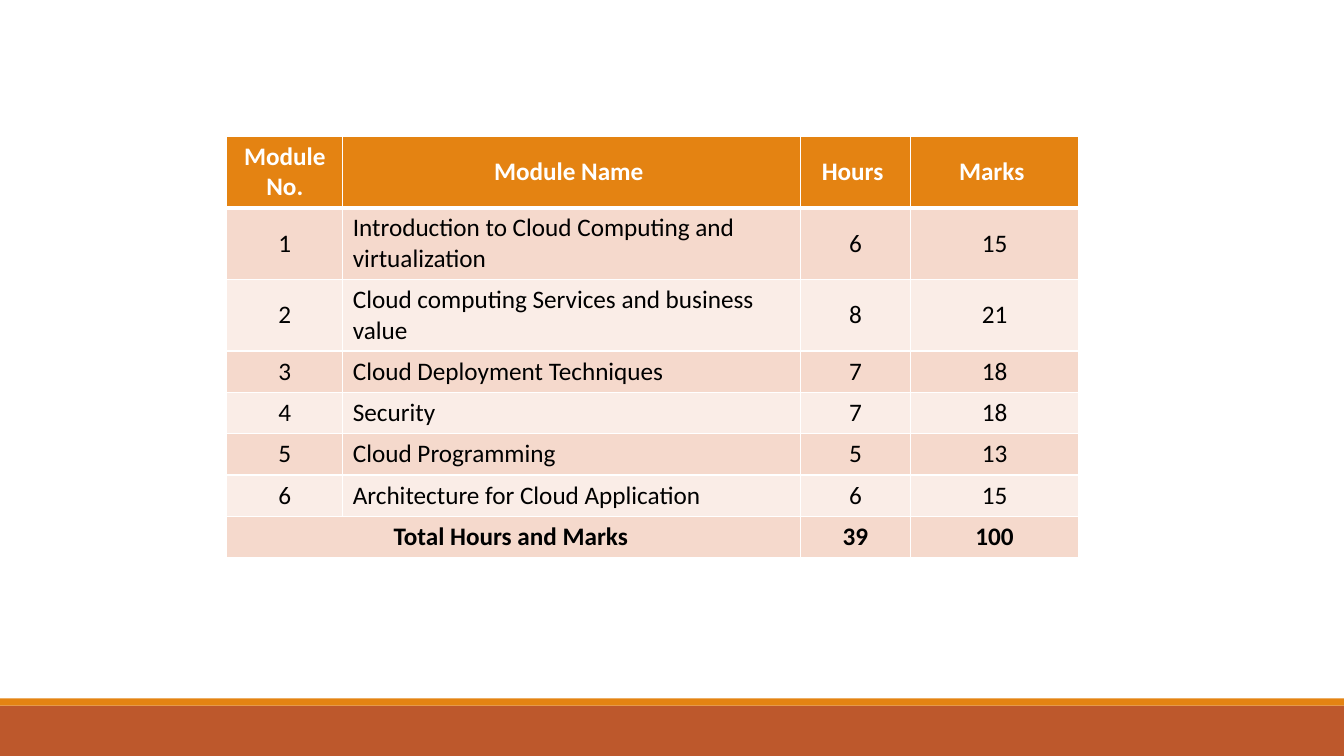
from dataclasses import dataclass

from lxml.etree import SubElement
from pptx import Presentation
from pptx.dml.color import RGBColor
from pptx.enum.shapes import MSO_SHAPE as Shape
from pptx.enum.text import MSO_ANCHOR as Anchor, PP_ALIGN as Align
from pptx.oxml.ns import qn
from pptx.slide import Slide
from pptx.table import _Cell as Cell
from pptx.util import Inches, Pt


@dataclass(frozen=True)
class Theme:
    """Colours, font and sizes of the slide."""
    orange: str = "E48312"
    rust: str = "BD582C"
    band_dark: str = "F5D9CC"
    band_light: str = "FAEDE7"
    white: str = "FFFFFF"
    black: str = "000000"
    font: str = "Calibri"
    text_size: float = 18
    thin_border: float = 1
    thick_border: float = 3


@dataclass(frozen=True)
class Bar:
    """A full-width footer bar."""
    top: float
    height: float
    color: str


@dataclass(frozen=True)
class Row:
    """One table row with its height."""
    texts: tuple[str, str, str, str]
    height: float = 0.41
    bold: bool = False


THEME = Theme()
SLIDE_WIDTH, SLIDE_HEIGHT = 13.33, 7.5
TABLE_LEFT, TABLE_TOP = 2.25, 1.35
COLUMN_WIDTHS = (1.15, 4.54, 1.09, 1.67)
NAME_COLUMN = 1
TALL = 0.71
BARS = (Bar(7, 0.5, THEME.rust), Bar(6.93, 0.07, THEME.orange))
ROWS = (
    Row(("Module No.", "Module Name ", "Hours ", "Marks "), TALL, True),
    Row(("1", "Introduction to Cloud Computing and virtualization", "6", "15"), TALL),
    Row(("2", "Cloud computing Services and business value", "8", "21"), TALL),
    Row(("3", "Cloud Deployment Techniques", "7", "18")),
    Row(("4", "Security", "7", "18")),
    Row(("5", "Cloud Programming", "5", "13")),
    Row(("6", "Architecture for Cloud Application", "6", "15")),
    Row(("Total Hours and Marks ", "", "39", "100"), bold=True),
)


def draw_bar(slide: Slide, bar: Bar) -> None:
    """Draw one footer bar."""
    shape = slide.shapes.add_shape(
        Shape.RECTANGLE, 0, Inches(bar.top), Inches(SLIDE_WIDTH), Inches(bar.height))
    shape.shadow.inherit = False
    shape.fill.solid()
    shape.fill.fore_color.rgb = RGBColor.from_string(bar.color)
    shape.line.fill.background()


def set_borders(cell: Cell, top: float, bottom: float) -> None:
    """Give a cell white borders, with its own top and bottom widths."""
    properties = cell._tc.get_or_add_tcPr()
    thin = THEME.thin_border
    for tag, width in (("lnL", thin), ("lnR", thin), ("lnT", top), ("lnB", bottom)):
        line = SubElement(properties, qn(f"a:{tag}"), w=str(Pt(width)))
        fill = SubElement(line, qn("a:solidFill"))
        SubElement(fill, qn("a:srgbClr"), val=THEME.white)


def fill_cell(cell: Cell, text: str, fill: str, color: str, bold: bool, align: Align) -> None:
    """Fill a cell and write its text."""
    cell.fill.solid()
    cell.fill.fore_color.rgb = RGBColor.from_string(fill)
    cell.vertical_anchor = Anchor.MIDDLE
    if not text:
        return
    paragraph = cell.text_frame.paragraphs[0]
    paragraph.alignment = align
    run = paragraph.add_run()
    run.text = text
    run.font.name = THEME.font
    run.font.size = Pt(THEME.text_size)
    run.font.bold = bold
    run.font.color.rgb = RGBColor.from_string(color)


def draw_table(slide: Slide) -> None:
    """Draw the module table with banded rows and a merged total."""
    table = slide.shapes.add_table(
        len(ROWS), len(COLUMN_WIDTHS), Inches(TABLE_LEFT), Inches(TABLE_TOP),
        Inches(sum(COLUMN_WIDTHS)), Inches(sum(row.height for row in ROWS))).table
    for column, width in zip(table.columns, COLUMN_WIDTHS):
        column.width = Inches(width)
    last = len(ROWS) - 1
    table.cell(last, 0).merge(table.cell(last, NAME_COLUMN))
    for row_index, row in enumerate(ROWS):
        table.rows[row_index].height = Inches(row.height)
        header = row_index == 0
        band = THEME.band_dark if row_index % 2 else THEME.band_light
        fill = THEME.orange if header else band
        color = THEME.white if header else THEME.black
        top = THEME.thick_border if row_index == 1 else THEME.thin_border
        bottom = THEME.thick_border if header else THEME.thin_border
        for column_index, text in enumerate(row.texts):
            cell = table.cell(row_index, column_index)
            is_name = column_index == NAME_COLUMN and not header
            set_borders(cell, top, bottom)
            fill_cell(cell, text, fill, color, row.bold,
                      Align.LEFT if is_name else Align.CENTER)


def main() -> None:
    """Build and save the slide."""
    presentation = Presentation()
    presentation.slide_width = Inches(SLIDE_WIDTH)
    presentation.slide_height = Inches(SLIDE_HEIGHT)
    slide = presentation.slides.add_slide(presentation.slide_layouts[6])
    for bar in BARS:
        draw_bar(slide, bar)
    draw_table(slide)
    presentation.save("out.pptx")


if __name__ == "__main__":
    main()
